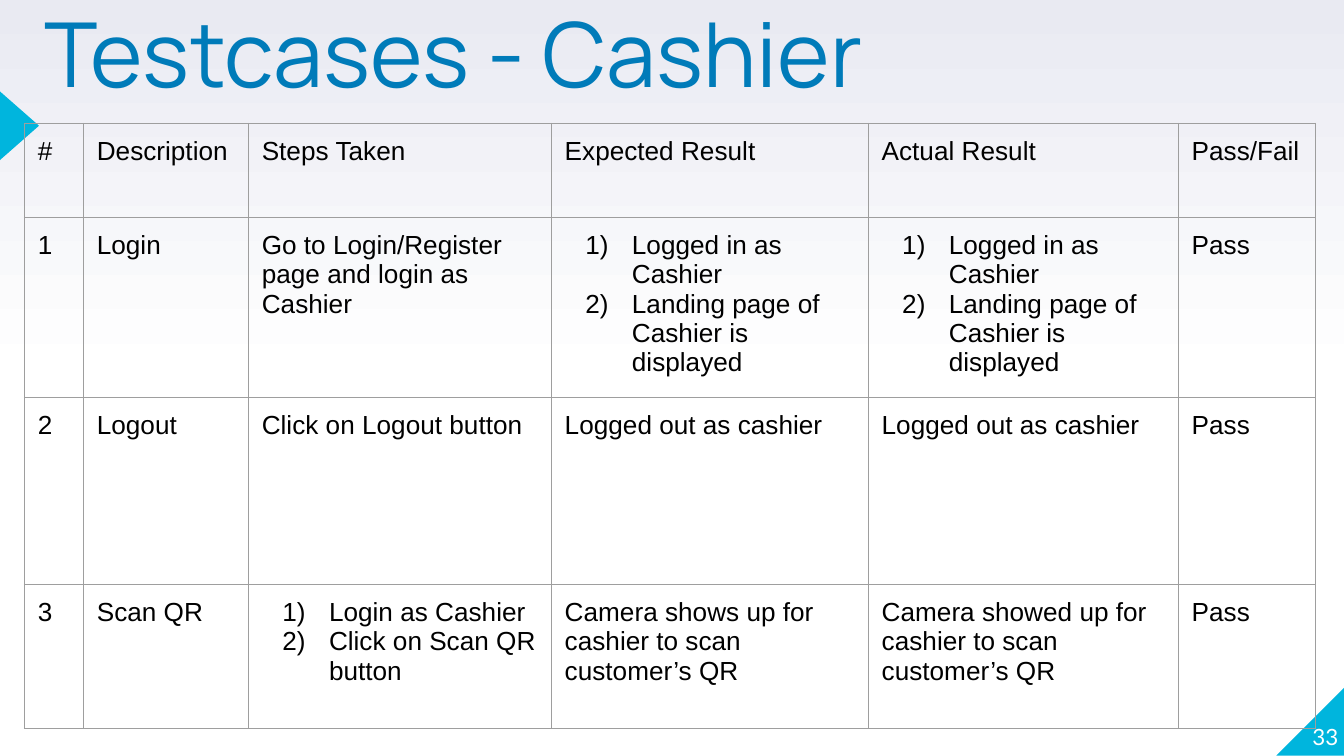
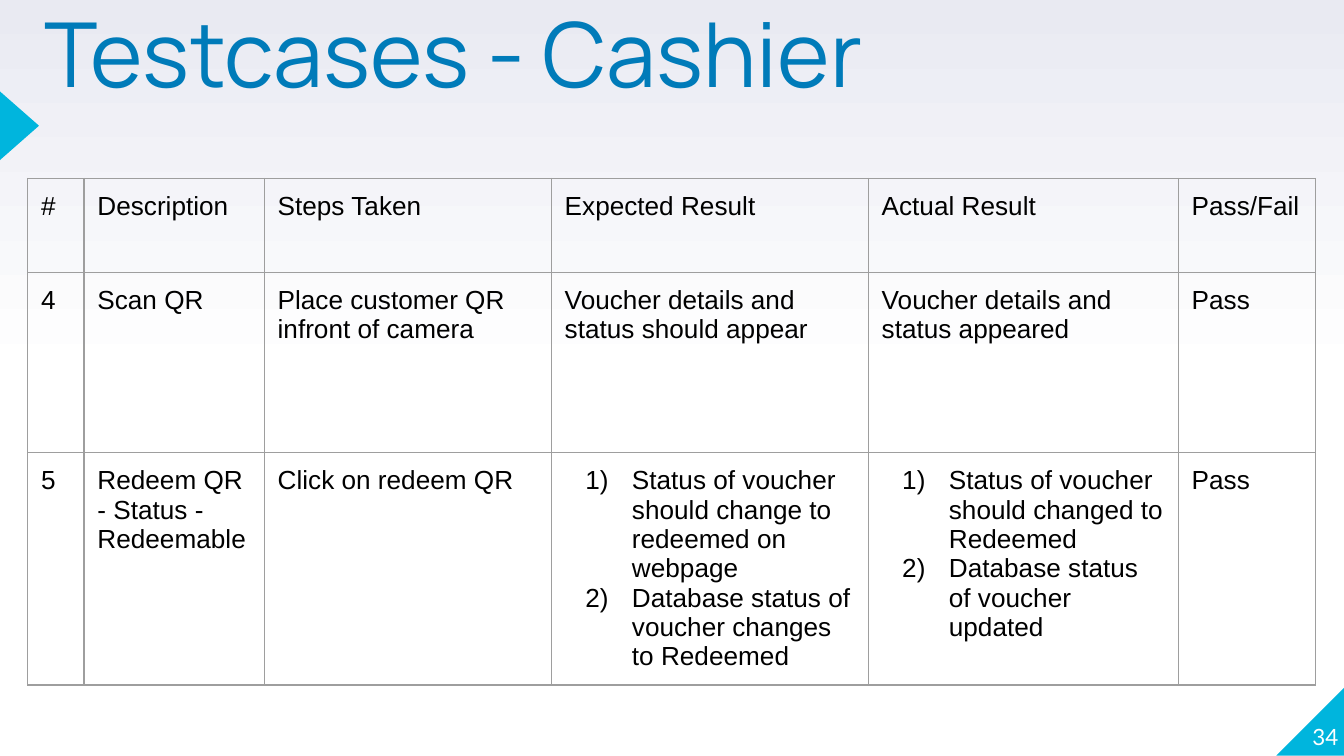
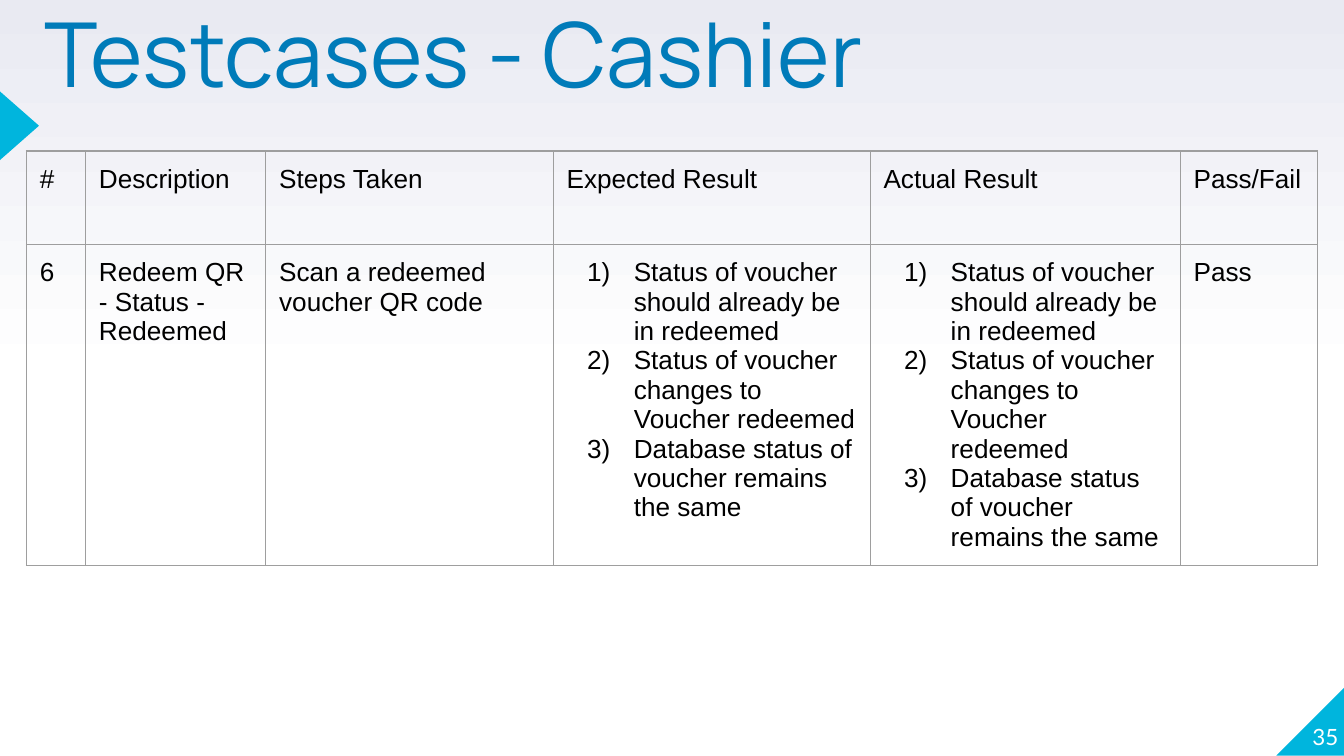
from copy import deepcopy

from lxml import etree
from pptx import Presentation
from pptx.dml.color import RGBColor
from pptx.enum.shapes import MSO_SHAPE
from pptx.enum.text import MSO_ANCHOR, MSO_AUTO_SIZE, PP_ALIGN
from pptx.oxml.ns import qn
from pptx.util import Pt

LEFT, RIGHT = PP_ALIGN.LEFT, PP_ALIGN.RIGHT
TOP, BOTTOM = MSO_ANCHOR.TOP, MSO_ANCHOR.BOTTOM
RIGHT_TRIANGLE, TRIANGLE = MSO_SHAPE.RIGHT_TRIANGLE, MSO_SHAPE.ISOSCELES_TRIANGLE

COLORS = {
    "accent": "00B5DD",
    "title": "007BB9",
    "text": "000000",
    "number": "FFFFFF",
    "border": "9E9E9E",
    "paper": "FFFFFF",
    "sky": "E9EAF2",
}
GRADIENT = [(0, "paper"), (0.5, "paper"), (1, "sky")]

TITLE = "Testcases - Cashier"
FIRST_NUMBER = 33
HEADER = ["#", "Description", "Steps Taken", "Expected Result", "Actual Result", "Pass/Fail"]
HEADER_HEIGHT = 50.2
RESULT_WIDTHS = [169.8, 166.1, 73.4]  # expected, actual, pass/fail

LOGGED_IN = ["Logged in as Cashier", "Landing page of Cashier is displayed"]
ALREADY_REDEEMED = [
    "Status of voucher should already be in redeemed",
    "Status of voucher changes to Voucher redeemed",
    "Database status of voucher remains the same",
]

# A list inside a row becomes a numbered list in its cell.
PAGES = [
    {
        "at": (13.1, 66.2),
        "widths": [31.6, 88.4, 162.3],
        "heights": [96.7, 99.9, 77.4],
        "cases": [
            ["1", "Login", "Go to Login/Register page and login as Cashier",
             LOGGED_IN, LOGGED_IN, "Pass"],
            ["2", "Logout", "Click on Logout button",
             "Logged out as cashier", "Logged out as cashier", "Pass"],
            ["3", "Scan QR", ["Login as Cashier", "Click on Scan QR button"],
             "Camera shows up for cashier to scan customer’s QR",
             "Camera showed up for cashier to scan customer’s QR", "Pass"],
        ],
    },
    {
        "at": (14.8, 95.6),
        "widths": [30.2, 96.6, 153.8],
        "heights": [96.7, 124.3],
        "cases": [
            ["4", "Scan QR", "Place customer QR infront of camera",
             "Voucher details and status should appear",
             "Voucher details and status appeared", "Pass"],
            ["5", "Redeem QR - Status - Redeemable", "Click on redeem QR",
             ["Status of voucher should change to redeemed on webpage",
              "Database status of voucher changes to Redeemed"],
             ["Status of voucher should changed to Redeemed",
              "Database status of voucher updated"], "Pass"],
        ],
    },
    {
        "at": (14.2, 80.9),
        "widths": [31.6, 96.6, 154],
        "heights": [172],
        "cases": [
            ["6", "Redeem QR - Status - Redeemed", "Scan a redeemed voucher QR code",
             ALREADY_REDEEMED, ALREADY_REDEEMED, "Pass"],
        ],
    },
]


def rgb(name):
    return RGBColor.from_string(COLORS[name])


def set_font(para, name, size, color):
    para.font.name = name
    para.font.size = Pt(size)
    para.font.color.rgb = rgb(color)


def add_color(parent, name):
    fill = etree.SubElement(parent, qn("a:solidFill"))
    etree.SubElement(fill, qn("a:srgbClr"), val=COLORS[name])


def paint_background(master):
    fill = master.background.fill
    fill.gradient()
    fill.gradient_angle = 90
    stops = next(master.element.iter(qn("a:gsLst")))
    stops.insert(1, deepcopy(stops[0]))
    for stop, (position, color) in zip(fill.gradient_stops, GRADIENT):
        stop.position = position
        stop.color.rgb = rgb(color)


def add_accent(page, kind, left, top, width, height):
    """Draw a triangle and move it to the layout, behind its placeholders."""
    shape = page.shapes.add_shape(kind, Pt(left), Pt(top), Pt(width), Pt(height))
    shape.shadow.inherit = False
    shape.fill.solid()
    shape.fill.fore_color.rgb = rgb("accent")
    shape.line.fill.background()
    page.slide_layout.shapes.element.insert(2, shape.element)
    return shape


def add_accents(page):
    corner = add_accent(page, RIGHT_TRIANGLE, 683.8, 368.2, 36.6, 36.6)
    corner.element.spPr.find(qn("a:xfrm")).set("flipH", "1")
    pointer = add_accent(page, TRIANGLE, -7.9, 56.9, 36.7, 20.9)
    pointer.rotation = 90


def fill_box(box, text, place, anchor, align):
    """Place a text box without margins and return its only paragraph."""
    box.left, box.top, box.width, box.height = map(Pt, place)
    frame = box.text_frame
    frame.text = text
    frame.word_wrap = True
    frame.auto_size = MSO_AUTO_SIZE.NONE
    frame.vertical_anchor = anchor
    frame.margin_left = frame.margin_top = frame.margin_right = frame.margin_bottom = 0
    para = frame.paragraphs[0]
    para.alignment = align
    return para


def add_title(page):
    para = fill_box(page.shapes.title, TITLE, (23.8, 10.1, 648, 85), TOP, LEFT)
    para.line_spacing = 0.8
    set_font(para, "Manrope", 48, "title")


def add_number(page, number):
    box = page.shapes.add_textbox(0, 0, 0, 0)
    para = fill_box(box, str(number), (681, 365, 36, 36.7), BOTTOM, RIGHT)
    set_font(para, "Lato", 12, "number")


def number_paragraph(para):
    props = para._p.get_or_add_pPr()
    props.set("marL", str(Pt(36)))
    props.set("indent", str(Pt(-25)))
    color = etree.SubElement(props, qn("a:buClr"))
    etree.SubElement(color, qn("a:srgbClr"), val=COLORS["text"])
    etree.SubElement(props, qn("a:buAutoNum"), type="arabicParenR")


def fill_cell(cell, content):
    numbered = isinstance(content, list)
    cell.text = "\n".join(content) if numbered else content
    for para in cell.text_frame.paragraphs:
        if numbered:
            number_paragraph(para)
        set_font(para, "Arial", 14, "text")
    cell.margin_left = cell.margin_top = cell.margin_right = cell.margin_bottom = Pt(7.2)
    props = cell._tc.get_or_add_tcPr()
    for side in ("lnL", "lnR", "lnT", "lnB"):
        add_color(etree.SubElement(props, qn(f"a:{side}"), w=str(Pt(0.75))), "border")
    cell.fill.background()


def add_cases(page, content):
    rows = [HEADER] + content["cases"]
    widths = content["widths"] + RESULT_WIDTHS
    heights = [HEADER_HEIGHT] + content["heights"]
    left, top = content["at"]
    table = page.shapes.add_table(len(rows), len(widths), Pt(left), Pt(top),
                                  Pt(sum(widths)), Pt(sum(heights))).table
    table.first_row = table.horz_banding = False
    for column, width in zip(table.columns, widths):
        column.width = Pt(width)
    for row, height, texts in zip(table.rows, heights, rows):
        row.height = Pt(height)
        for cell, text in zip(row.cells, texts):
            fill_cell(cell, text)


def main():
    deck = Presentation()
    deck.slide_width, deck.slide_height = Pt(720), Pt(405)
    paint_background(deck.slide_master)
    layout = deck.slide_layouts.get_by_name("Title Only")
    for number, content in enumerate(PAGES, FIRST_NUMBER):
        page = deck.slides.add_slide(layout)
        if number == FIRST_NUMBER:
            add_accents(page)
        add_title(page)
        add_number(page, number)
        add_cases(page, content)
    deck.save("out.pptx")


if __name__ == "__main__":
    main()
